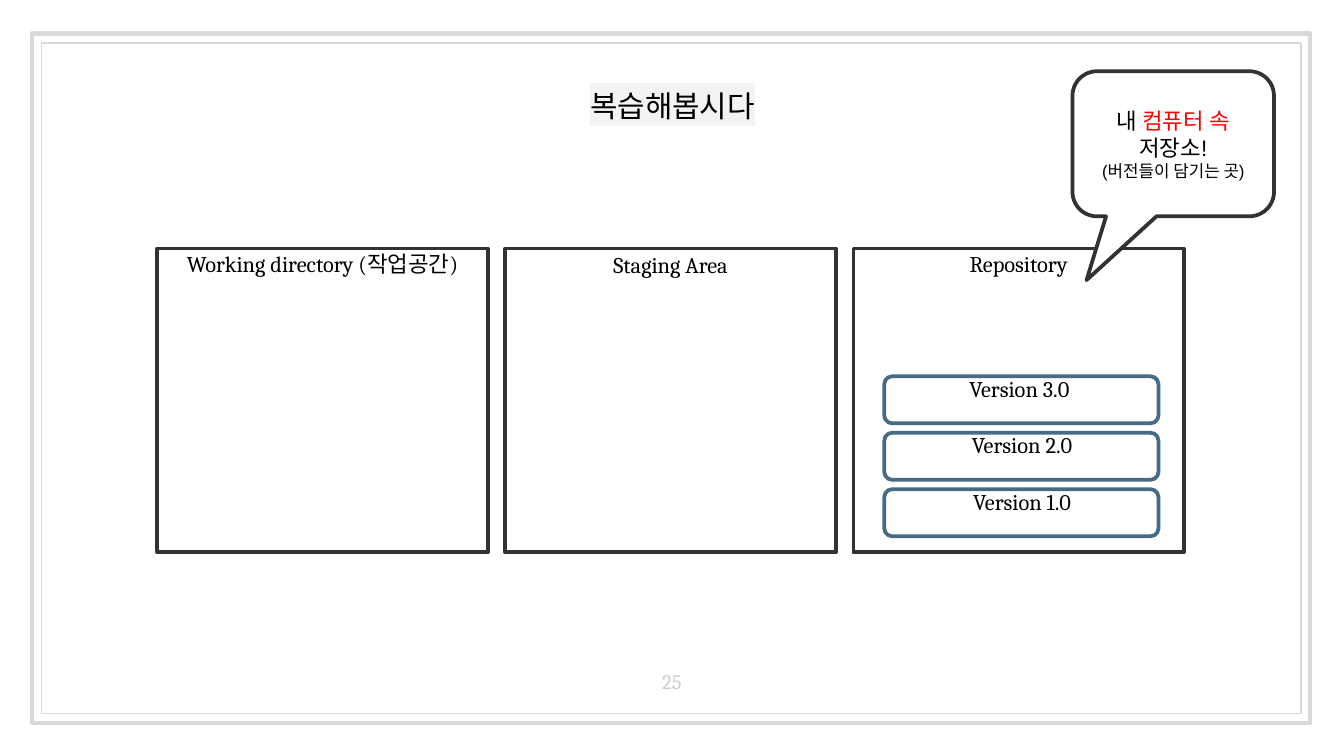
from lxml import etree
from pptx import Presentation
from pptx import util as u
from pptx.dml.color import RGBColor
from pptx.enum import shapes, text
from pptx.oxml.ns import qn

COLORS = {
    "ink": "000000", "alert": "FF0000", "paper": "FFFFFF", "frame": "D9D9D9",
    "area": "323232", "version": "476B84", "number": "CCCCCC", "marker": "F3F3F3",
}
SHAPE = shapes.MSO_SHAPE
ANCHOR = text.MSO_ANCHOR


def color(name):
    return RGBColor.from_string(COLORS[name])


def write(para, words, font="Cambria", size=12, ink="ink", highlight=None):
    span = para.add_run()
    span.text = words
    span.font.name = font
    span.font.size = u.Pt(size)
    span.font.color.rgb = color(ink)
    para.alignment = text.PP_ALIGN.CENTER
    if highlight:
        mark = etree.Element(qn("a:highlight"))
        etree.SubElement(mark, qn("a:srgbClr"), val=COLORS[highlight])
        span.font.fill._xPr.find(qn("a:solidFill")).addnext(mark)


class SlideBuilder:
    def __init__(self, deck):
        self.page = deck.slides.add_slide(deck.slide_layouts[5])
        self.page.background.fill.solid()
        self.page.background.fill.fore_color.rgb = color("paper")
        self.target = self.page.shapes

    def group(self):
        self.target = self.page.shapes.add_group_shape().shapes

    def ungroup(self):
        self.target = self.page.shapes

    def prepare(self, box, anchor, inset=0.1):
        frame = box.text_frame
        frame.word_wrap = True
        frame.auto_size = text.MSO_AUTO_SIZE.NONE
        frame.vertical_anchor = anchor
        frame.margin_left = frame.margin_right = u.Inches(0.1)
        frame.margin_top = frame.margin_bottom = u.Inches(inset)
        return frame

    def title(self, words, place, **style):
        box = self.page.shapes.title
        box.left, box.top, box.width, box.height = map(u.Inches, place)
        frame = self.prepare(box, ANCHOR.MIDDLE)
        write(frame.paragraphs[0], words, **style)

    def outline(self, kind, place, line, weight=2, fill=None):
        shape = self.target.add_shape(kind, *map(u.Inches, place))
        shape.shadow.inherit = False
        shape.line.color.rgb = color(line)
        shape.line.width = u.Pt(weight)
        if fill:
            shape.fill.solid()
            shape.fill.fore_color.rgb = color(fill)
        else:
            shape.fill.background()
        return shape

    def label(self, words, place, anchor=ANCHOR.TOP, before=6, **style):
        box = self.target.add_textbox(*map(u.Inches, place))
        para = self.prepare(box, anchor).paragraphs[0]
        para.space_before = u.Pt(before)
        write(para, words, **style)

    def callout(self, place, adjustments, lines):
        shape = self.outline(SHAPE.ROUNDED_RECTANGULAR_CALLOUT, place, "area", fill="paper")
        for index, value in enumerate(adjustments):
            shape.adjustments[index] = value
        frame = self.prepare(shape, ANCHOR.MIDDLE, inset=0.05)
        for index, spans in enumerate(lines):
            para = frame.add_paragraph() if index else frame.paragraphs[0]
            for words, style in spans:
                write(para, words, font="Arial", **style)


def main():
    deck = Presentation()
    deck.slide_width = u.Inches(10)
    deck.slide_height = deck.slide_width * 9 // 16
    slide = SlideBuilder(deck)

    slide.outline(SHAPE.RECTANGLE, (0.24, 0.25, 9.51, 5.13), "frame", 2.25)
    slide.outline(SHAPE.RECTANGLE, (0.31, 0.32, 9.37, 4.99), "frame", 0.75)
    slide.title("복습해봅시다", (0.43, 0.37, 9.15, 0.83),
                font="Vollkorn", size=16, highlight="marker")
    slide.label("25", (4.7, 4.83, 0.6, 0.43), ANCHOR.BOTTOM, before=0,
                size=11, ink="number")

    areas = [("Working directory (작업공간)", 1.76), ("Staging Area", 1.77), ("Repository", 1.76)]
    for column, (name, label_top) in enumerate(areas):
        left = 1.17 + 2.59 * column
        slide.group()
        slide.outline(SHAPE.RECTANGLE, (left, 1.85, 2.46, 2.26), "area")
        slide.label(name, (left - 0.24, label_top, 2.94, 0.9))

    versions = [("Version 1.0", 6.93), ("Version 2.0", 6.93), ("Version 3.0", 6.91)]
    for row, (name, label_left) in enumerate(versions):
        top = 3.64 - 0.42 * row
        slide.outline(SHAPE.ROUNDED_RECTANGLE, (6.58, top, 2.04, 0.35), "version")
        slide.label(name, (label_left, top - 0.11, 1.35, 0.5))

    slide.ungroup()
    slide.callout((7.98, 0.53, 1.5, 1.08), (-0.43, 0.94, 0.17), [
        [("내 ", {}), ("컴퓨터 속", {"ink": "alert"})],
        [("저장소!", {})],
        [("(버전들이 담기는 곳)", {"size": 9})],
    ])
    deck.save("out.pptx")


if __name__ == "__main__":
    main()
